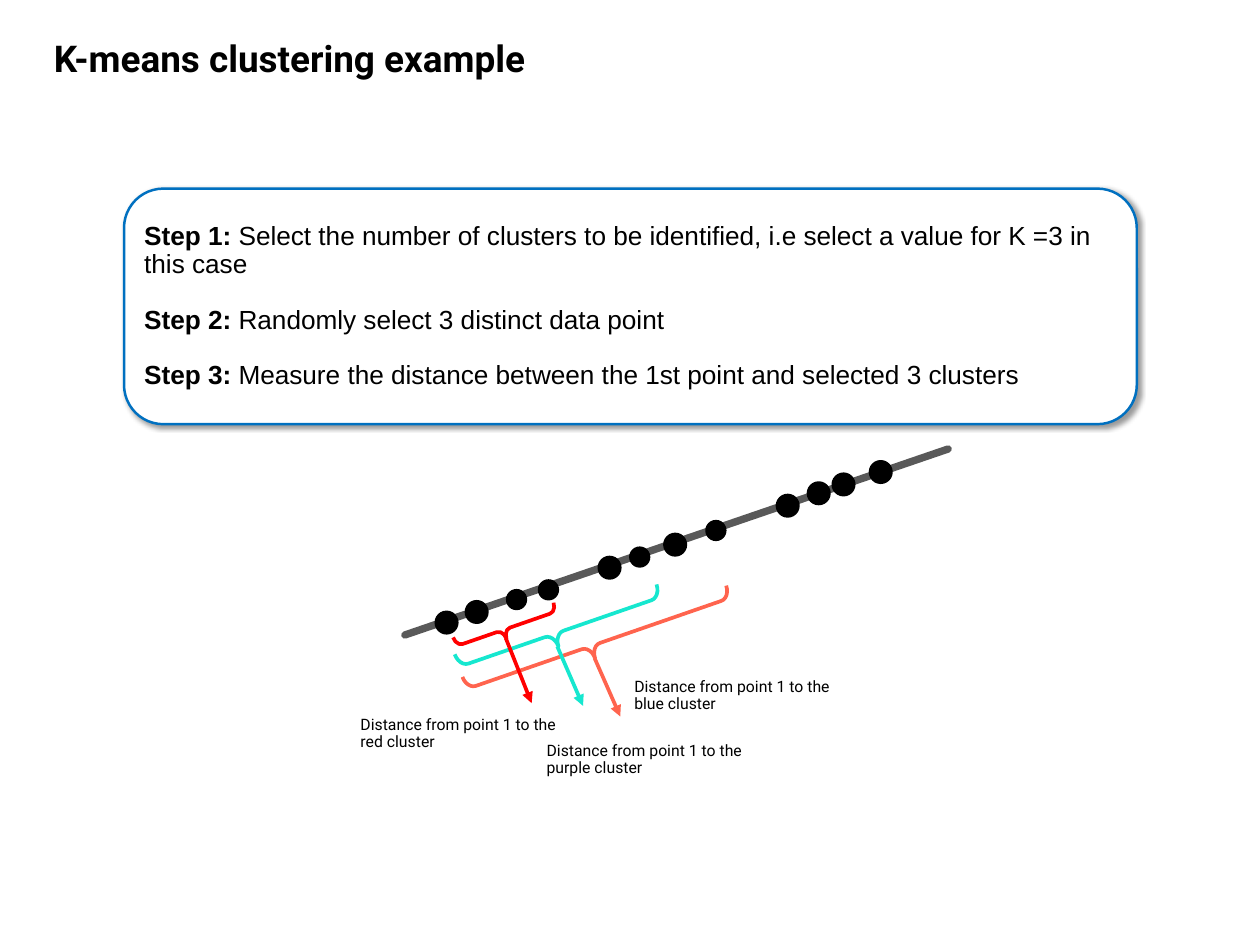
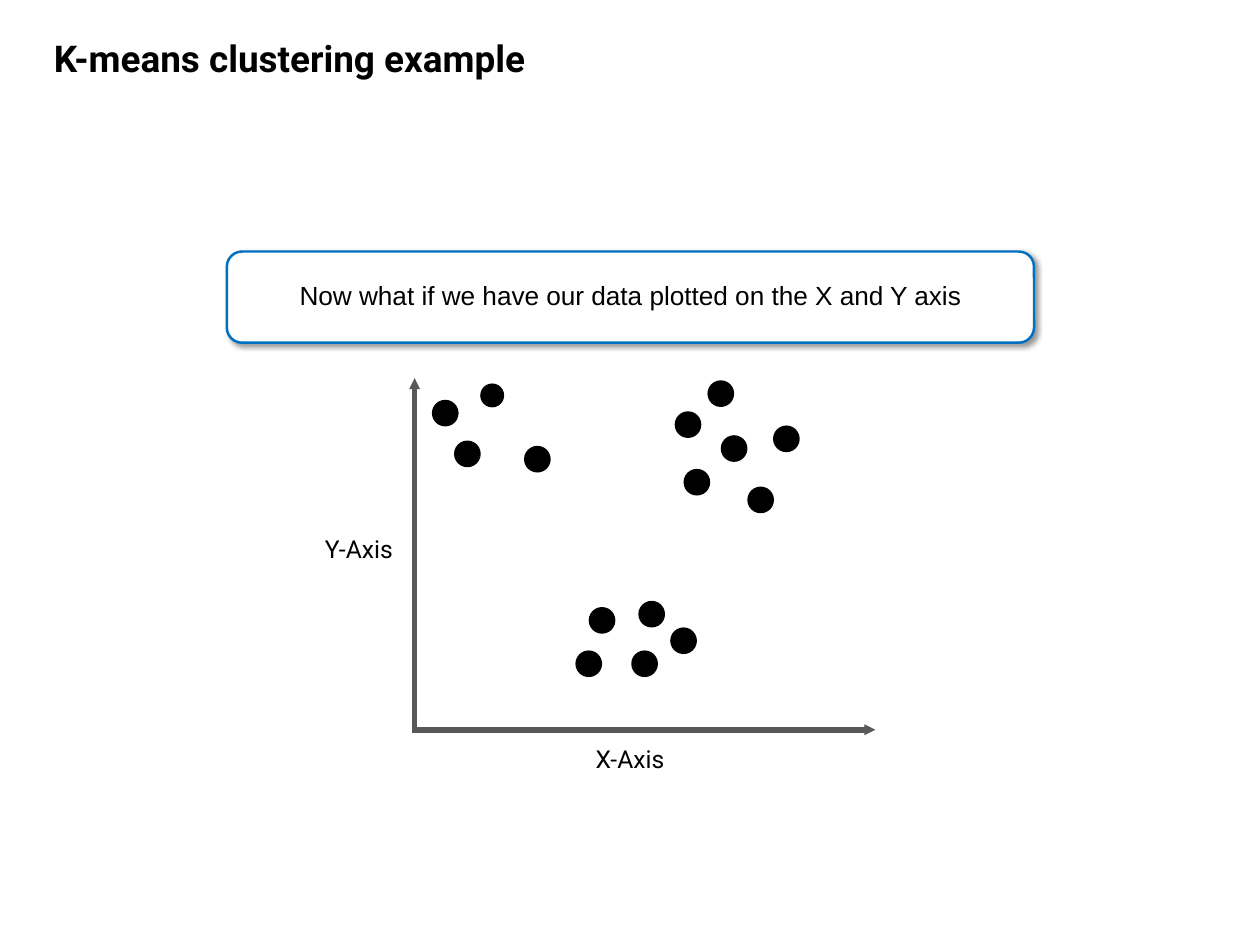
from dataclasses import dataclass
from typing import Optional

from lxml.etree import SubElement as Sub
from pptx import Presentation
from pptx.dml.color import RGBColor as Rgb
from pptx.enum.shapes import MSO_CONNECTOR as Conn, MSO_SHAPE as Kind
from pptx.enum.text import MSO_ANCHOR as Anchor, MSO_AUTO_SIZE as Auto, PP_ALIGN as Align
from pptx.oxml.ns import qn
from pptx.util import Inches, Pt

COLS, ROWS = 14.22, 10.67
INK = {
    "white": "FFFFFF",
    "black": "000000",
    "blue": "0070C0",
    "gray": "595959",
    "red": "FF0000",
    "teal": "16E7CF",
    "coral": "FF644E",
}
TITLE = "K-means clustering example"
HEAD = "Roboto"
BODY = "Arial"


@dataclass(frozen=True)
class Box:
    x: float
    y: float
    w: float
    h: float

    def cells(self) -> tuple:
        return tuple(Inches(n) for n in (self.x, self.y, self.w, self.h))


@dataclass(frozen=True)
class Dot:
    x: float
    y: float
    rim: bool = True


@dataclass(frozen=True)
class Span:
    ink: str
    brace: Box
    start: tuple
    end: tuple
    name: str
    spot: tuple


STEPS = "\n".join((
    "Step 1: Select the number of clusters to be identified, i.e select a value for K =3 in this case",
    "Step 2: Randomly select 3 distinct data point",
    "Step 3: Measure the distance between the 1st point and selected 3 clusters",
))

LINE_DOTS = (
    Dot(4.92, 6.91), Dot(5.26, 6.79), Dot(5.71, 6.65, False), Dot(6.07, 6.54, False),
    Dot(6.76, 6.29), Dot(7.1, 6.17, False), Dot(7.5, 6.03), Dot(7.96, 5.87, False),
    Dot(8.77, 5.59), Dot(9.12, 5.45), Dot(9.4, 5.35), Dot(9.82, 5.21),
)

PLOT_DOTS = (
    Dot(5.14, 4.99), Dot(4.89, 4.53), Dot(5.93, 5.05), Dot(5.42, 4.33, False),
    Dot(8, 4.31), Dot(7.63, 4.66), Dot(8.15, 4.93),
    Dot(7.73, 5.31), Dot(8.74, 4.82), Dot(8.45, 5.51),
    Dot(6.66, 6.87), Dot(6.51, 7.36), Dot(7.22, 6.8), Dot(7.14, 7.36), Dot(7.58, 7.1),
)

SPANS = (
    Span("red", Box(5.61, 6.5, 0.21, 1.2), (5.71, 7.21), (6, 7.94), "red", (3.97, 8.05)),
    Span("teal", Box(6.17, 5.93, 0.3, 2.41), (6.29, 7.3), (6.58, 7.97), "purple", (6.07, 8.34)),
    Span("coral", Box(6.61, 5.69, 0.29, 3.15), (6.71, 7.43), (7, 8.09), "blue", (7.06, 7.62)),
)


def tint(name: str) -> Rgb:
    return Rgb.from_string(INK[name])


def write(frame, text: str, *, size: float, font: str = HEAD, bold: bool = False,
          align=Align.LEFT, gap: float = 0, lead: bool = False) -> None:
    frame.word_wrap = True
    for i, line in enumerate(text.split("\n")):
        para = frame.paragraphs[0] if i == 0 else frame.add_paragraph()
        para.alignment = align
        para.line_spacing = 0.9
        para.space_before = Pt(gap if i else 0)
        first, mark, rest = line.partition(": ") if lead else ("", "", line)
        for part, heavy in ((first + mark, True), (rest, bold)):
            if part:
                run = para.add_run()
                run.text = part
                run.font.size = Pt(size)
                run.font.name = font
                run.font.bold = heavy
                run.font.color.rgb = tint("black")


def label(slide, box: Box, text: str, **style) -> None:
    frame = slide.shapes.add_textbox(*box.cells()).text_frame
    write(frame, text, **style)
    frame.auto_size = Auto.SHAPE_TO_FIT_TEXT


def form(slide, kind, box: Box, fill: Optional[str], edge: Optional[str], width: float = 2.25):
    shape = slide.shapes.add_shape(kind, *box.cells())
    if fill:
        shape.fill.solid()
        shape.fill.fore_color.rgb = tint(fill)
    else:
        shape.fill.background()
    if edge:
        shape.line.color.rgb = tint(edge)
        shape.line.width = Pt(width)
    else:
        shape.line.fill.background()
    shape.shadow.inherit = False
    return shape


def card(slide, box: Box, text: str, **style) -> None:
    shape = form(slide, Kind.ROUNDED_RECTANGLE, box, "white", "blue", 2)
    cast = Sub(shape._element.spPr.find(qn("a:effectLst")), qn("a:outerShdw"),
               blurRad=str(Pt(4)), dist=str(Pt(3)), dir=str(45 * 60000),
               algn="tl", rotWithShape="0")
    shade = Sub(cast, qn("a:srgbClr"), val=INK["black"])
    Sub(shade, qn("a:alpha"), val="40000")
    shape.text_frame.vertical_anchor = Anchor.MIDDLE
    write(shape.text_frame, text, size=21.3, font=BODY, **style)


def stroke(slide, start: tuple, end: tuple, ink: str, width: float,
           tip: str = "", cap: str = "flat") -> None:
    line = slide.shapes.add_connector(Conn.STRAIGHT, *(Inches(n) for n in start + end))
    line.line.color.rgb = tint(ink)
    line.line.width = Pt(width)
    props = line._element.spPr
    edge = props.find(qn("a:ln"))
    edge.set("cap", cap)
    if tip:
        Sub(edge, qn("a:tailEnd"), type="triangle", w=tip, len=tip)
    Sub(props, qn("a:effectLst"))


def scatter(slide, dots: tuple, size: float) -> None:
    for dot in dots:
        form(slide, Kind.OVAL, Box(dot.x, dot.y, size, size), "black",
             "black" if dot.rim else None)


def brace(slide, span: Span) -> None:
    shape = form(slide, Kind.LEFT_BRACE, span.brace, None, span.ink, 3)
    shape.rotation = 250.9
    shape.adjustments[0] = 0.375
    shape.adjustments[1] = 0.471


def page(deck):
    slide = deck.slides.add_slide(deck.slide_layouts[6])
    label(slide, Box(0.51, 0.41, 7.34, 0.56), TITLE, size=30, bold=True)
    return slide


def steps(deck) -> None:
    slide = page(deck)
    card(slide, Box(1.4, 2.13, 11.43, 2.66), STEPS, gap=22, lead=True)
    stroke(slide, (4.57, 7.17), (10.7, 5.07), "gray", 6, cap="rnd")
    scatter(slide, LINE_DOTS, 0.24)
    for span in SPANS:
        brace(slide, span)
    for span in SPANS:
        stroke(slide, span.start, span.end, span.ink, 3, tip="med")
        label(slide, Box(*span.spot, 2.58, 0.49),
              f"Distance from point 1 to the {span.name} cluster", size=12.8)


def plot(deck) -> None:
    slide = page(deck)
    card(slide, Box(2.56, 2.84, 9.11, 1.03),
         "Now what if we have our data plotted on the X and Y axis", align=Align.CENTER)
    stroke(slide, (4.68, 8.24), (4.68, 4.27), "gray", 4.5, tip="sm")
    stroke(slide, (4.65, 8.24), (9.88, 8.24), "gray", 4.5, tip="sm")
    scatter(slide, PLOT_DOTS, 0.27)
    for text, x, y in (("X-Axis", 6.53, 8.39), ("Y-Axis", 3.47, 6.02)):
        label(slide, Box(x, y, 1.16, 0.4), text, size=20, align=Align.CENTER)


def main() -> None:
    deck = Presentation()
    deck.slide_width, deck.slide_height = Inches(COLS), Inches(ROWS)
    steps(deck)
    plot(deck)
    deck.save("out.pptx")


if __name__ == "__main__":
    main()
